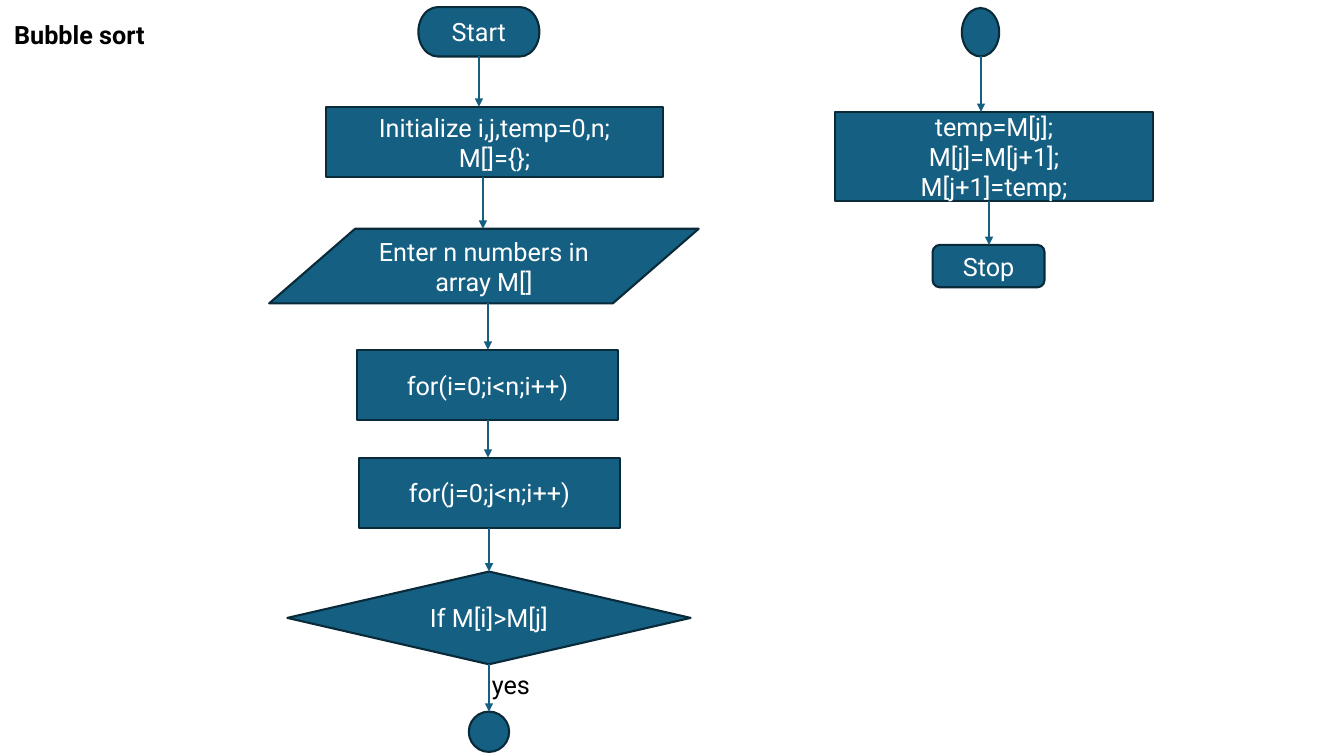
import pptx
import pptx.util
import pptx.dml.color
import pptx.enum.shapes
import pptx.enum.text
import pptx.oxml.ns
import lxml.etree

TITLE = ("Bubble sort", (0.04, 0.14, 3, 1.01))
YES = ("yes", (4.78, 6.59, 3, 0.4))
FLOWS = [
    [
        ("TERMINATOR", ["Start"], (4.15, 0.07, 1.2, 0.49)),
        ("PROCESS", ["Initialize i,j,temp=0,n;", "M[]={};"], (3.23, 1.06, 3.35, 0.7)),
        ("DATA", ["Enter n numbers in array M[]"], (2.67, 2.27, 4.26, 0.74)),
        ("PROCESS", ["for(i=0;i<n;i++)"], (3.54, 3.47, 2.59, 0.7)),
        ("PROCESS", ["for(j=0;j<n;i++)"], (3.56, 4.54, 2.59, 0.7)),
        ("DECISION", ["If M[i]>M[j]"], (2.85, 5.67, 4, 0.92)),
        ("CONNECTOR", [], (4.65, 7.06, 0.4, 0.4)),
    ],
    [
        ("CONNECTOR", [], (9.54, 0.08, 0.37, 0.48)),
        ("PROCESS", ["temp=M[j];", "M[j]=M[j+1];", "M[j+1]=temp;"], (8.28, 1.11, 3.16, 0.88)),
        ("ALTERNATE_PROCESS", ["Stop"], (9.25, 2.43, 1.11, 0.42)),
    ],
]
ARROW_X = [[4.75, 4.79, 4.84, 4.84, 4.85, 4.85], [9.73, 9.81]]
COLORS = {"fill": "156082", "edge": "092A39", "light": "FFFFFF", "dark": "000000"}
FONT = {"name": "Roboto", "size": pptx.util.Pt(18)}
LINE_WIDTH = pptx.util.Pt(1.5)


def inches(values):
    return [pptx.util.Inches(v) for v in values]


def rgb(name):
    return pptx.dml.color.RGBColor.from_string(COLORS[name])


def write(sp, lines, color, align, anchor, bold=False):
    tf = sp.text_frame
    frame = {"word_wrap": True, "vertical_anchor": anchor,
             "auto_size": pptx.enum.text.MSO_AUTO_SIZE.NONE}
    for key, value in frame.items():
        setattr(tf, key, value)
    for i, line in enumerate(lines):
        p = tf.add_paragraph() if i else tf.paragraphs[0]
        p.alignment = align
        r = p.add_run()
        r.text = line
        for key, value in {**FONT, "bold": bold}.items():
            setattr(r.font, key, value)
        r.font.color.rgb = rgb(color)


def add_node(slide, kind, lines, box):
    shape = getattr(pptx.enum.shapes.MSO_SHAPE, "FLOWCHART_" + kind)
    sp = slide.shapes.add_shape(shape, *inches(box))
    sp.shadow.inherit = False
    sp.fill.solid()
    sp.fill.fore_color.rgb = rgb("fill")
    sp.line.color.rgb = rgb("edge")
    sp.line.width = LINE_WIDTH
    write(sp, lines, "light", pptx.enum.text.PP_ALIGN.CENTER,
          pptx.enum.text.MSO_ANCHOR.MIDDLE)


def add_arrow(slide, x, top, bottom):
    straight = pptx.enum.shapes.MSO_CONNECTOR.STRAIGHT
    c = slide.shapes.add_connector(straight, *inches((x, top, x, bottom)))
    c.line.color.rgb = rgb("fill")
    c.line.width = LINE_WIDTH
    qn = pptx.oxml.ns.qn
    lxml.etree.SubElement(c.line._get_or_add_ln(), qn("a:tailEnd"), type="triangle")
    lxml.etree.SubElement(c._element.spPr, qn("a:effectLst"))


def main():
    prs = pptx.Presentation()
    prs.slide_width, prs.slide_height = inches((13.33, 7.5))
    slide = prs.slides.add_slide(prs.slide_layouts[5])
    left, top = pptx.enum.text.PP_ALIGN.LEFT, pptx.enum.text.MSO_ANCHOR.TOP

    text, box = TITLE
    title = slide.shapes.title
    for key, value in zip(("left", "top", "width", "height"), inches(box)):
        setattr(title, key, value)
    write(title, [text], "dark", left, top, bold=True)

    for nodes, xs in zip(FLOWS, ARROW_X):
        for node in nodes:
            add_node(slide, *node)
        for x, (_, _, upper), (_, _, lower) in zip(xs, nodes, nodes[1:]):
            add_arrow(slide, x, upper[1] + upper[3], lower[1])

    text, box = YES
    write(slide.shapes.add_textbox(*inches(box)), [text], "dark", left, top)
    prs.save("out.pptx")


if __name__ == "__main__":
    main()
